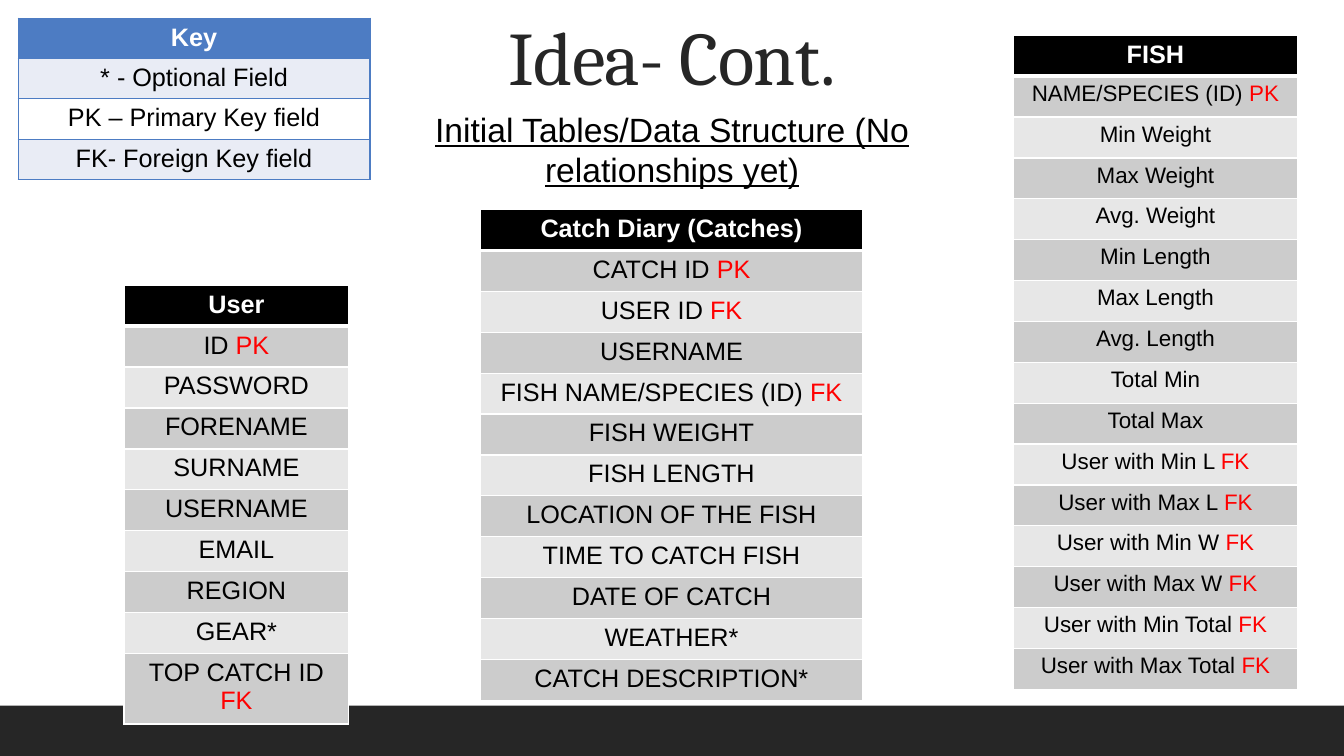
from dataclasses import dataclass

from lxml.etree import fromstring
from pptx import Presentation
from pptx.dml.color import RGBColor
from pptx.enum.shapes import MSO_SHAPE
from pptx.enum.text import MSO_ANCHOR, MSO_AUTO_SIZE, PP_ALIGN
from pptx.oxml.ns import nsdecls
from pptx.util import Inches, Pt


@dataclass(frozen=True)
class Theme:
    """Colours, fonts and type sizes of the slide."""
    dark: str = "262626"
    black: str = "000000"
    white: str = "FFFFFF"
    key_mark: str = "FF0000"
    title_font: str = "Cambria"
    body_font: str = "Arial"
    title_size: int = 54
    subtitle_size: int = 24
    table_size: int = 18
    small_size: int = 16


@dataclass(frozen=True)
class TableLook:
    """Fills and borders of one kind of table."""
    header: str
    bands: tuple
    border: str
    header_rule: int


THEME = Theme()
ENTITY = TableLook(THEME.black, ("CCCCCC", "E7E7E7"), THEME.white, 3)
LEGEND = TableLook("4D7CC3", ("E9ECF5", THEME.white), "4D7CC3", 1)

KEY_ROWS = ["Key", "* - Optional Field", "PK – Primary Key field", "FK- Foreign Key field"]
USER_ROWS = ["User", "ID PK", "PASSWORD", "FORENAME", "SURNAME", "USERNAME", "EMAIL",
             "REGION", "GEAR*", "TOP CATCH ID FK"]
CATCH_ROWS = ["Catch Diary (Catches)", "CATCH ID PK", "USER ID FK", "USERNAME",
              "FISH NAME/SPECIES (ID) FK", "FISH WEIGHT", "FISH LENGTH",
              "LOCATION OF THE FISH", "TIME TO CATCH FISH", "DATE OF CATCH",
              "WEATHER*", "CATCH DESCRIPTION*"]
FISH_ROWS = ["FISH", "NAME/SPECIES (ID) PK", "Min Weight", "Max Weight", "Avg. Weight",
             "Min Length", "Max Length", "Avg. Length", "Total Min", "Total Max",
             "User with Min L FK", "User with Max L FK", "User with Min W FK",
             "User with Max W FK", "User with Min Total FK", "User with Max Total FK"]


def style_paragraph(paragraph, font, size, color, bold=False):
    """Centre a paragraph and set its font."""
    paragraph.alignment = PP_ALIGN.CENTER
    paragraph.font.name = font
    paragraph.font.size = Pt(size)
    paragraph.font.bold = bold
    paragraph.font.color.rgb = RGBColor.from_string(color)


def add_footer_bar(page):
    """Draw the dark bar along the bottom edge."""
    bar = page.shapes.add_shape(MSO_SHAPE.RECTANGLE, 0, Inches(7), Inches(13.33), Inches(0.5))
    bar.shadow.inherit = False
    bar.fill.solid()
    bar.fill.fore_color.rgb = RGBColor.from_string(THEME.dark)
    bar.line.fill.background()


def set_title(page, text):
    """Fill and place the title placeholder."""
    title = page.shapes.title
    title.left, title.top = Inches(0), Inches(-0.01)
    title.width, title.height = Inches(13.33), Inches(1.07)
    frame = title.text_frame
    frame.auto_size = MSO_AUTO_SIZE.NONE
    frame.vertical_anchor = MSO_ANCHOR.BOTTOM
    paragraph = frame.paragraphs[0]
    span = paragraph.add_run()
    span.text = text
    span._r.get_or_add_rPr().set("spc", "-50")
    paragraph.line_spacing = 0.9
    style_paragraph(paragraph, THEME.title_font, THEME.title_size, THEME.dark)


def add_subtitle(page, text):
    """Add the underlined line below the title."""
    box = page.shapes.add_textbox(Inches(3.67), Inches(1.03), Inches(5.99), Inches(0.91))
    box.text_frame.word_wrap = True
    paragraph = box.text_frame.paragraphs[0]
    paragraph.text = text
    style_paragraph(paragraph, THEME.body_font, THEME.subtitle_size, THEME.black)
    paragraph.font.underline = True


def set_borders(cell, color, top, bottom):
    """Outline a cell, with its own top and bottom widths in points."""
    widths = {"lnL": 1, "lnR": 1, "lnT": top, "lnB": bottom}
    for place, (side, width) in enumerate(widths.items()):
        line = fromstring(
            f'<a:{side} {nsdecls("a")} w="{Pt(width)}"><a:solidFill>'
            f'<a:srgbClr val="{color}"/></a:solidFill></a:{side}>')
        cell._tc.get_or_add_tcPr().insert(place, line)


def write_field(paragraph, text):
    """Write a field name, with a closing PK or FK in the mark colour."""
    marked = text.endswith((" PK", " FK"))
    name, mark = (text[:-2], text[-2:]) if marked else (text, "")
    paragraph.add_run().text = name
    if mark:
        span = paragraph.add_run()
        span.text = mark
        span.font.color.rgb = RGBColor.from_string(THEME.key_mark)


def add_field_table(page, rows, look, left, top, width, height, size=THEME.table_size):
    """Add a one-column table with a header and banded fields."""
    frame = page.shapes.add_table(len(rows), 1, Inches(left), Inches(top),
                                  Inches(width), Inches(height))
    for index, text in enumerate(rows):
        header = index == 0
        cell = frame.table.cell(index, 0)
        cell.fill.solid()
        fill = look.header if header else look.bands[(index - 1) % 2]
        cell.fill.fore_color.rgb = RGBColor.from_string(fill)
        set_borders(cell, look.border, look.header_rule if index == 1 else 1,
                    look.header_rule if header else 1)
        paragraph = cell.text_frame.paragraphs[0]
        write_field(paragraph, text)
        style_paragraph(paragraph, THEME.body_font, THEME.table_size if header else size,
                        THEME.white if header else THEME.black, header)


def main():
    """Build the slide and save it."""
    deck = Presentation()
    deck.slide_width, deck.slide_height = Inches(13.33), Inches(7.5)
    page = deck.slides.add_slide(deck.slide_layouts.get_by_name("Title Only"))
    add_footer_bar(page)
    set_title(page, "Idea- Cont.")
    add_subtitle(page, "Initial Tables/Data Structure (No relationships yet)")
    add_field_table(page, USER_ROWS, ENTITY, 1.23, 2.83, 2.23, 4.06)
    add_field_table(page, CATCH_ROWS, ENTITY, 4.76, 2.08, 3.8, 4.87)
    add_field_table(page, FISH_ROWS, ENTITY, 10.05, 0.35, 2.82, 6.49, THEME.small_size)
    add_field_table(page, KEY_ROWS, LEGEND, 0.18, 0.18, 3.49, 1.6)
    deck.save("out.pptx")


main()
